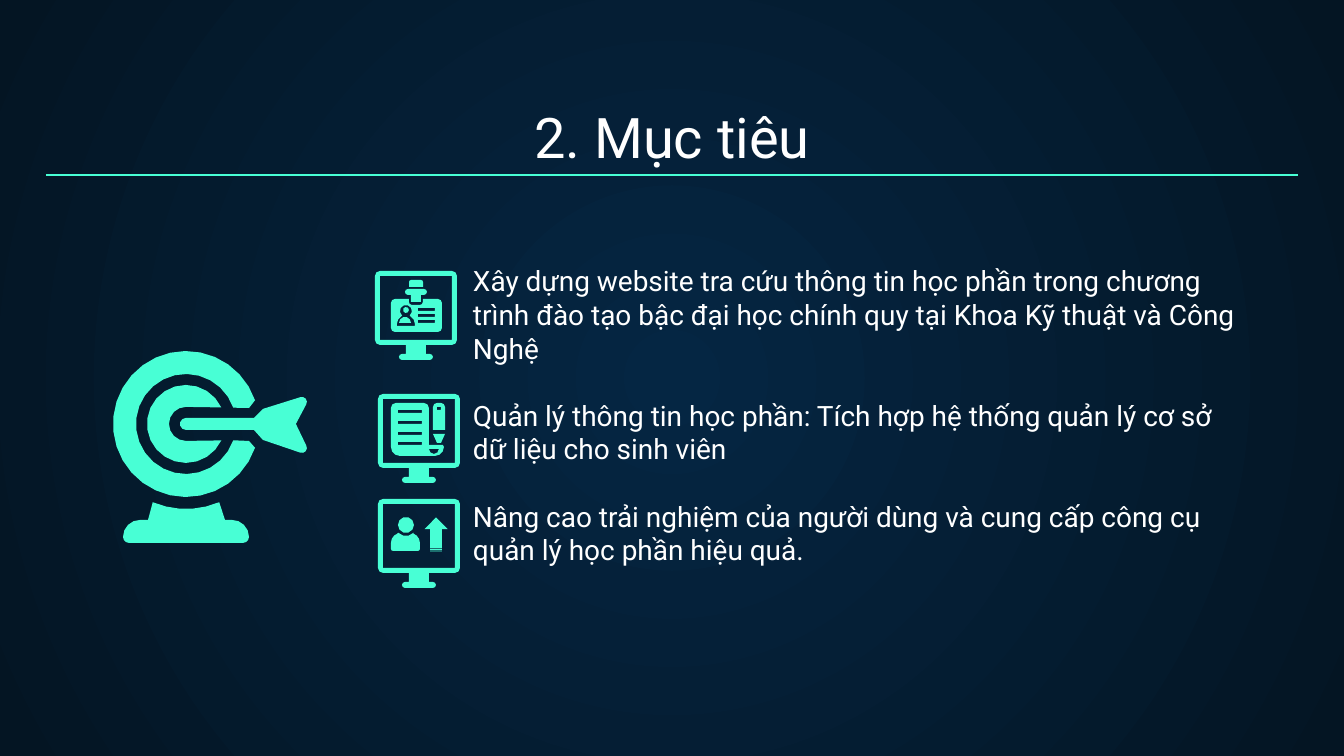
from math import acos, ceil, cos, degrees, radians, sin
from lxml.etree import SubElement
from pptx import Presentation
from pptx.dml.color import RGBColor as RGB
from pptx.enum.shapes import MSO_CONNECTOR as CONN, MSO_SHAPE as SHAPE
from pptx.enum.text import MSO_ANCHOR as ANCHOR, PP_ALIGN as ALIGN
from pptx.oxml.ns import qn
from pptx.util import Emu, Pt

PX = 914400 / 134.4
WIDTH, HEIGHT = 1344, 756
FONT = "Roboto"
COLORS = {"mint": "48FFD5", "white": "FFFFFF", "navy": "052643", "night": "041523"}

TITLE = "2. Mục tiêu"
GOALS = [
    "Xây dựng website tra cứu thông tin học phần trong chương trình đào tạo "
    "bậc đại học chính quy tại Khoa Kỹ thuật và Công Nghệ",
    "Quản lý thông tin học phần: Tích hợp hệ thống quản lý cơ sở dữ liệu cho sinh viên",
    "Nâng cao trải nghiệm của người dùng và cung cấp công cụ quản lý học phần hiệu quả.",
]


# Outlines: lists of points in px, angles in degrees clockwise from the right
def arc(x, y, r, start, end):
    step = degrees(2 * acos(1 - 0.4 / r))  # chords stay within 0.4 px of the curve
    count = ceil(abs(end - start) / step)
    turns = [radians(start + (end - start) * i / count) for i in range(count + 1)]
    return [(x + r * cos(t), y + r * sin(t)) for t in turns]


def disc(x, y, r):
    return arc(x, y, r, 0, 360)[:-1]


def bar(x, y, w, h):
    return [(x, y), (x + w, y), (x + w, y + h), (x, y + h)]


# Each part is a list of outlines, where the inner ones are holes
TARGET = [
    [arc(186, 424, 73, 341, 19) + [(249, 441)] + arc(186, 424, 50, 19, 341) + [(249, 408)]],
    [arc(186, 424, 6, 90, 270) + [(254, 418), (263, 409)] + arc(302, 402, 5, 250, 390)
     + [(296, 424)] + arc(302, 448, 5, -30, 110) + [(263, 440), (254, 430)]],
    [arc(186, 424, 85, 67, 113) + [(148, 520)] + arc(140, 537, 17, 270, 180)
     + arc(129, 537, 6, 180, 90) + arc(243, 537, 6, 90, 0)
     + arc(232, 537, 17, 0, -90) + [(225, 520)]],
    [arc(186, 424, 39, 335, 25) + arc(186, 424, 17, 90, 270)],
]
MONITOR = [
    [arc(5, 5, 5, 180, 270) + arc(77, 5, 5, 270, 360) + arc(77, 69, 5, 0, 90)
     + [(51, 74), (51, 83)] + arc(55, 86, 3, -90, 90) + arc(27, 86, 3, 90, 270)
     + [(31, 83), (31, 74)] + arc(5, 69, 5, 90, 180),
     bar(5, 5, 72, 64)],
]
CARD = [
    [disc(31, 39, 3)],
    [arc(30, 52, 6, 180, 360)],
    [arc(20, 32, 4, 180, 270) + [(34, 28)] + arc(37, 31, 3, 180, 90)
     + arc(45, 31, 3, 90, 0) + [(48, 28)] + arc(63, 32, 4, 270, 360)
     + arc(63, 57, 4, 0, 90) + arc(20, 57, 4, 90, 180),
     arc(31, 40, 6, 130, 410) + arc(31, 53, 9, 300, 360) + [(40, 55), (22, 55)]
     + arc(31, 53, 9, 180, 240)]
    + [bar(43, y, 17, 3) for y in (37, 43, 49)],
    [arc(33, 21, 3, 90, 270) + arc(49, 21, 3, -90, 90)
     + [(46, 24), (46, 31), (36, 31), (36, 24)]],
    [arc(36, 11, 2, 180, 270) + arc(46, 11, 2, 270, 360) + [(48, 16), (34, 16)]],
]
SCROLL = [
    [arc(18, 14, 5, 180, 270) + arc(46, 14, 5, 270, 360) + [(51, 51), (65, 51)]
     + arc(57, 53, 9, 0, 90) + arc(22, 53, 9, 90, 180),
     arc(56, 55, 5, 0, 180)]
    + [bar(20, y, 24, 3) for y in (16, 27, 38, 48)],
    [[(55, 40), (67, 40), (63, 49), (59, 49)]],
    [arc(59, 13, 4, 180, 270) + arc(63, 13, 4, 270, 360) + [(67, 36), (55, 36)],
     bar(59, 13, 4, 3)],
]
USER = [
    [disc(28, 26, 8)],
    [arc(28, 26, 11, 45, 135) + arc(23, 44, 10, 250, 180) + arc(15, 50, 2, 180, 90)
     + arc(40, 50, 2, 90, 0) + arc(32, 44, 10, 0, -70)],
]
# The target ring runs the long way round, from 341 back to 19 degrees
ICONS = [(TARGET, 0, 0), (MONITOR + CARD, 375, 271),
         (MONITOR + SCROLL, 378, 394), (MONITOR + USER, 378, 499)]


def px(n):
    return Emu(round(n * PX))


def color(name):
    return RGB.from_string(COLORS[name])


def paint(shape):
    shape.shadow.inherit = False
    shape.fill.solid()
    shape.fill.fore_color.rgb = color("mint")
    shape.line.fill.background()


def draw(shapes, part, left, top):
    path = None
    for line in part:
        first, *rest = [(px(left + x), px(top + y)) for x, y in line]
        if path is None:
            path = shapes.build_freeform(*first, scale=1.0)
        else:
            path.move_to(*first)
        path.add_line_segments(rest, close=True)
    paint(path.convert_to_shape())


def write(slide, texts, place, size=15, align=ALIGN.LEFT, anchor=ANCHOR.TOP, gap=0):
    frame = slide.shapes.add_textbox(*map(px, place)).text_frame
    frame.word_wrap = True
    frame.vertical_anchor = anchor
    frame.margin_left = frame.margin_right = px(13)
    frame.margin_top = frame.margin_bottom = px(13)
    for i, text in enumerate(texts):
        para = frame.add_paragraph() if i else frame.paragraphs[0]
        para.alignment = align
        para.space_before = Pt(gap if i else 0)
        run = para.add_run()
        run.text = text
        run.font.name, run.font.size = FONT, Pt(size)
        run.font.color.rgb = color("white")


def backdrop(slide):
    fill = slide.background.fill
    fill.gradient()
    for stop, name in zip(fill.gradient_stops, ("navy", "night")):
        stop.color.rgb = color(name)
    grad = slide.element.find(".//" + qn("a:gradFill"))
    grad.remove(grad.find(qn("a:lin")))
    ring = SubElement(grad, qn("a:path"), path="circle")
    SubElement(ring, qn("a:fillToRect"), l="50000", t="50000", r="50000", b="50000")


def main():
    deck = Presentation()
    deck.slide_width, deck.slide_height = px(WIDTH), px(HEIGHT)
    slide = deck.slides.add_slide(deck.slide_layouts[6])
    backdrop(slide)

    # Title, goals and rule
    write(slide, [TITLE], (46, 94, 1252, 89), size=30, align=ALIGN.CENTER,
          anchor=ANCHOR.BOTTOM)
    write(slide, GOALS, (460, 251, 789, 492), gap=18)
    rule = slide.shapes.add_connector(CONN.STRAIGHT, px(46), px(175), px(1298), px(175))
    rule.line.color.rgb = color("mint")
    rule.line.width = Pt(0.75)
    SubElement(rule.element.spPr, qn("a:effectLst"))

    # Icons, each in a group
    for parts, left, top in ICONS:
        group = slide.shapes.add_group_shape()
        for part in parts:
            draw(group.shapes, part, left, top)

    # Upward arrow beside the user
    arrow = slide.shapes.add_shape(SHAPE.STRIPED_RIGHT_ARROW, px(419), px(523), px(34), px(23))
    arrow.rotation = 270
    paint(arrow)

    deck.save("out.pptx")


if __name__ == "__main__":
    main()
